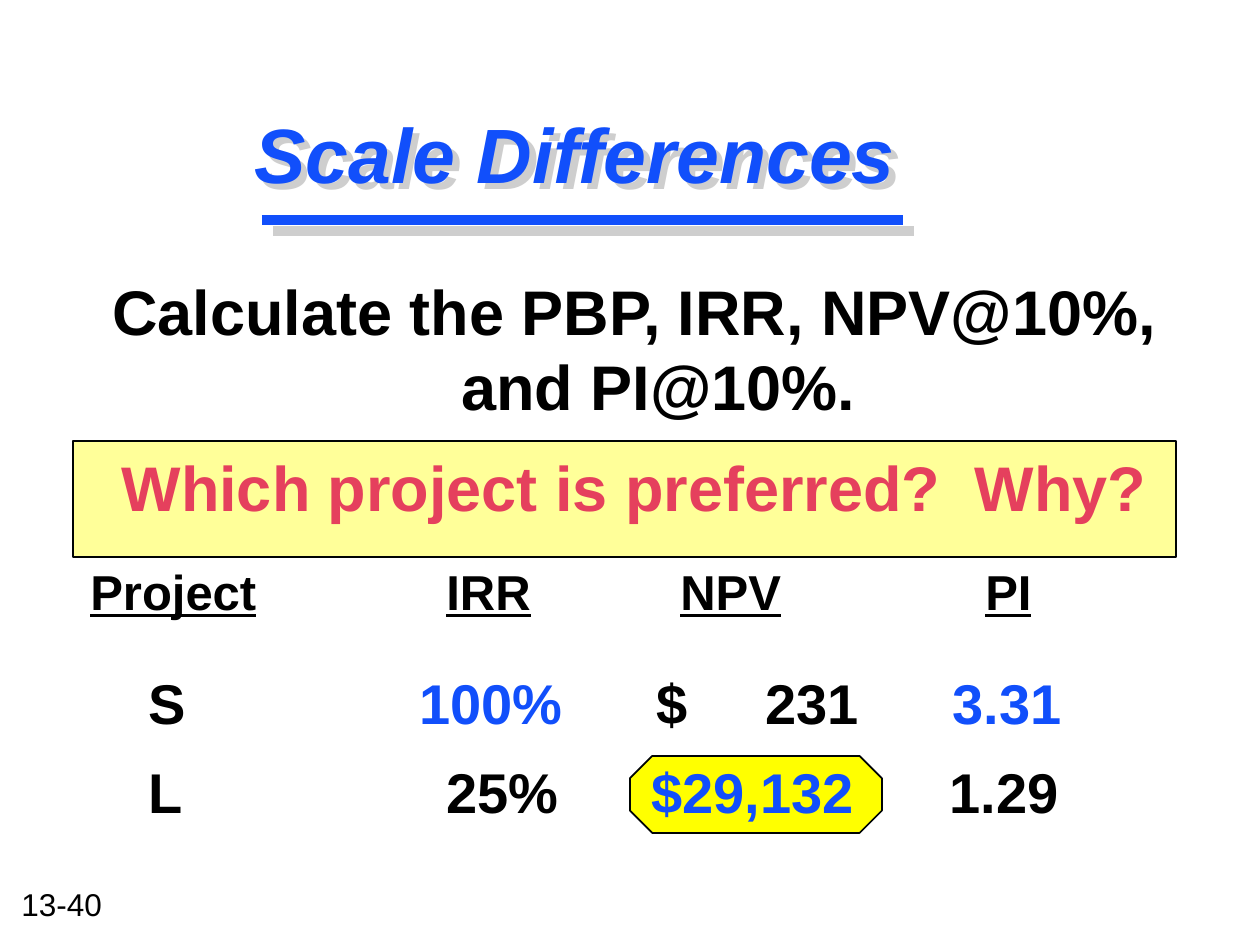
from lxml.etree import SubElement
from pptx import Presentation
from pptx.dml.color import RGBColor
from pptx.enum.shapes import MSO_CONNECTOR, MSO_SHAPE
from pptx.enum.text import MSO_ANCHOR, MSO_AUTO_SIZE, PP_ALIGN
from pptx.oxml.ns import qn
from pptx.util import Emu, Pt

BLUE = RGBColor(0x11, 0x4F, 0xFB)
BLACK = RGBColor(0, 0, 0)
OUTLINE = RGBColor(0, 4, 4)
GRAY = RGBColor(0xCE, 0xCE, 0xCE)
ROSE = RGBColor(0xE5, 0x40, 0x5D)
PALE_YELLOW = RGBColor(0xFF, 0xFF, 0x99)
YELLOW = RGBColor(0xFF, 0xFF, 0)


def px(count):
    return Emu(round(count * 914400 / 126))


def add_run(paragraph, text, color, size, **extra):
    run = paragraph.add_run()
    run.text = text
    run.font.color.rgb = color
    font_format = {"name": "Arial", "size": Pt(size), "bold": True} | extra
    for key, value in font_format.items():
        setattr(run.font, key, value)


deck = Presentation()
deck.slide_width, deck.slide_height = px(1260), px(945)
slide = deck.slides.add_slide(deck.slide_layouts[1])
title, question = slide.placeholders

page_number = slide.shapes.add_textbox(px(9), px(879), px(108), px(50))
page_number.text_frame.word_wrap = False
add_run(page_number.text_frame.paragraphs[0], "13-40", BLACK, 18, bold=False)

for preset, box, color in [
    (MSO_SHAPE.RECTANGLE, (73, 441, 1103, 116), PALE_YELLOW),
    (MSO_SHAPE.OCTAGON, (630, 756, 252, 77), YELLOW),
]:
    highlight = slide.shapes.add_shape(preset, *map(px, box))
    highlight.shadow.inherit = False
    highlight.fill.solid()
    highlight.fill.fore_color.rgb = color
    highlight.line.color.rgb = OUTLINE
    highlight.line.width = Pt(1)
    if preset == MSO_SHAPE.OCTAGON:
        highlight.adjustments[0] = 0.29

for left, right, y, color in [(273, 914, 231, GRAY), (262, 903, 220, BLUE)]:
    rule = slide.shapes.add_connector(
        MSO_CONNECTOR.STRAIGHT, px(left), px(y), px(right), px(y))
    rule.line.color.rgb = color
    rule.line.width = Pt(6)
    SubElement(rule.element.spPr, qn("a:effectLst"))

headings = slide.shapes.add_textbox(0, 0, 0, 0)
results = slide.shapes.add_textbox(0, 0, 0, 0)
for part, box, anchor in [
    (title, (242, 63, 1008, 179), MSO_ANCHOR.MIDDLE),
    (question, (78, 266, 1113, 384), MSO_ANCHOR.TOP),
    (headings, (78, 555, 1113, 70), MSO_ANCHOR.TOP),
    (results, (59, 662, 1155, 179), MSO_ANCHOR.TOP),
]:
    slide.shapes.element.append(part.element)
    for key, value in zip(("left", "top", "width", "height"), box):
        setattr(part, key, px(value))
    frame_format = {"word_wrap": True, "vertical_anchor": anchor,
                    "auto_size": MSO_AUTO_SIZE.NONE}
    for key, value in frame_format.items():
        setattr(part.text_frame, key, value)

title_line = title.text_frame.paragraphs[0]
title_line.alignment = PP_ALIGN.LEFT
add_run(title_line, "Scale Differences", BLUE, 44, italic=True)
title.fill.background()
effects = SubElement(title.element.spPr, qn("a:effectLst"))
shadow = SubElement(effects, qn("a:outerShdw"), dist=str(px(9)), dir="2700000",
                    algn="ctr", rotWithShape="0")
SubElement(shadow, qn("a:srgbClr"), val=str(GRAY))

lines = [
    (question, 36, 2, [], [("Calculate the PBP, IRR, NPV@10%, and PI@10%.", BLACK)]),
    (question, 36, 7, [], [("Which project is preferred?  Why?", ROSE)]),
    (headings, 28, 0, [356, 590, 895],
     [("Project", BLACK), ("IRR", BLACK), ("NPV", BLACK), ("PI", BLACK)]),
    (results, 32, 1, [77, 348, 585, 694, 881],
     [("", BLACK), ("S", BLACK), ("100%", BLUE), ("$", BLACK), ("231", BLACK),
      ("3.31", BLUE)]),
    (results, 32, 6.4, [77, 375, 580, 878],
     [("", BLACK), ("L", BLACK), ("25%", BLACK), ("$29,132", BLUE), ("1.29", BLACK)]),
]
for part, size, before, stops, cells in lines:
    frame = part.text_frame
    paragraph = frame.paragraphs[0]
    if paragraph.runs:
        paragraph = frame.add_paragraph()
    paragraph_format = {
        "alignment": PP_ALIGN.LEFT if stops else PP_ALIGN.CENTER,
        "line_spacing": 1.0,
        "space_before": Pt(before),
        "space_after": Pt(size * 0.2),
    }
    for key, value in paragraph_format.items():
        setattr(paragraph, key, value)
    properties = paragraph._p.get_or_add_pPr()
    if stops:
        tabs = SubElement(properties, qn("a:tabLst"))
        for stop in stops:
            SubElement(tabs, qn("a:tab"), pos=str(px(stop)), algn="l")
    else:
        properties.set("marL", str(px(48)))
        properties.set("indent", str(-px(48)))
        SubElement(properties, qn("a:buNone"))
    for column, (text, color) in enumerate(cells):
        if column:
            add_run(paragraph, "\t", color, size)
        if text:
            add_run(paragraph, text, color, size, underline=part is headings)

deck.save("out.pptx")
